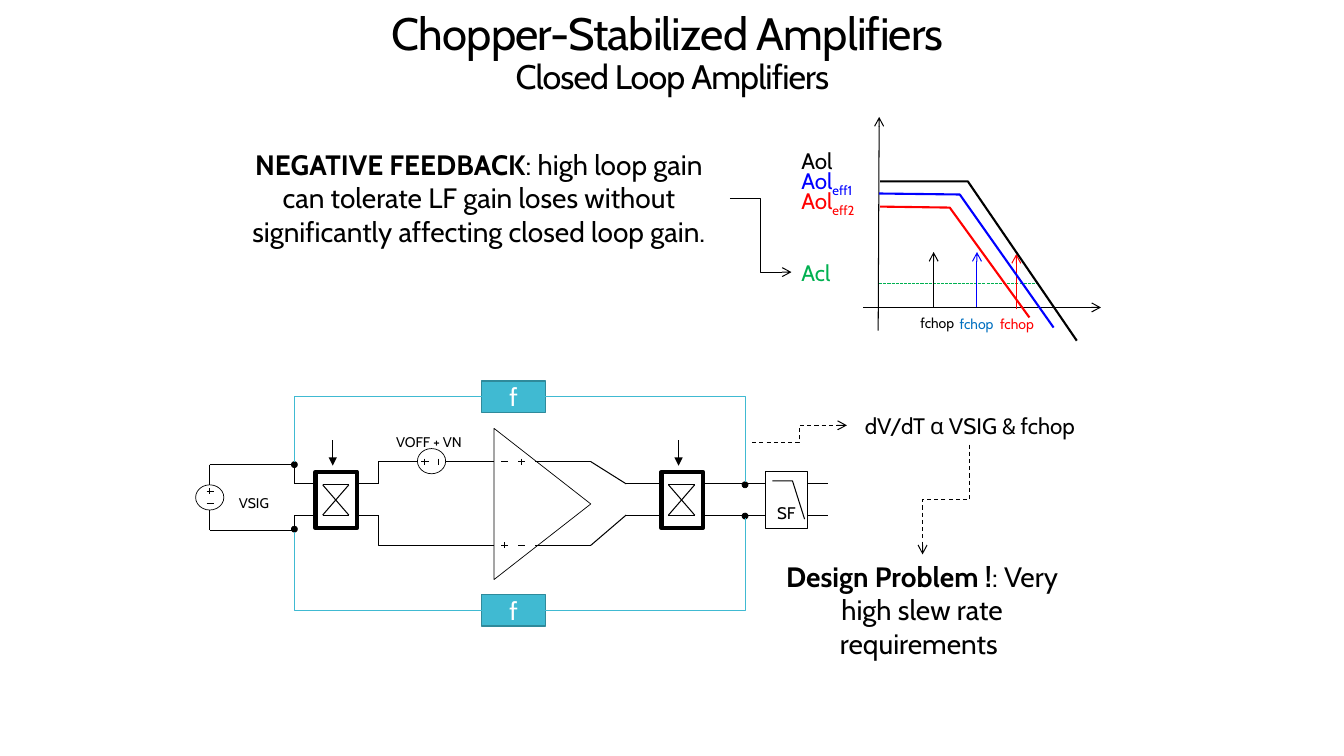
from lxml.etree import SubElement
from pptx import Presentation
from pptx.dml.color import RGBColor
from pptx.enum.dml import MSO_LINE
from pptx.enum.shapes import MSO_CONNECTOR, MSO_SHAPE
from pptx.enum.text import MSO_ANCHOR, PP_ALIGN
from pptx.oxml.ns import qn
from pptx.util import Inches, Pt

BLACK = RGBColor(0x00, 0x00, 0x00)
WHITE = RGBColor(0xFF, 0xFF, 0xFF)
RED = RGBColor(0xFF, 0x00, 0x00)
BLUE = RGBColor(0x00, 0x00, 0xFF)
LABEL_BLUE = RGBColor(0x00, 0x70, 0xC0)
GREEN = RGBColor(0x00, 0xB0, 0x50)
TEAL = RGBColor(0x40, 0xBA, 0xD2)
DARK_TEAL = RGBColor(0x2F, 0x8A, 0x9B)
FONT = "Cabin"

prs = Presentation()
prs.slide_width, prs.slide_height = Inches(13.33), Inches(7.5)
s = prs.slides.add_slide(prs.slide_layouts[6])


def add_line(x1, y1, x2, y2, color=BLACK, width=0.5, dash=None, tail=None, geom="line"):
    kind = MSO_CONNECTOR.STRAIGHT if geom == "line" else MSO_CONNECTOR.ELBOW
    c = s.shapes.add_connector(kind, Inches(x1), Inches(y1), Inches(x2), Inches(y2))
    c.line.color.rgb = color
    for name, value in {"width": Pt(width), "dash_style": dash}.items():
        setattr(c.line, name, value)
    spPr = c._element.spPr
    spPr.find(qn("a:prstGeom")).set("prst", geom)
    if tail:
        SubElement(spPr.find(qn("a:ln")), qn("a:tailEnd"), type=tail)
    SubElement(spPr, qn("a:effectLst"))
    return c


def add_text(x, y, w, h, runs, size, color=BLACK, align=PP_ALIGN.LEFT):
    tf = s.shapes.add_textbox(Inches(x), Inches(y), Inches(w), Inches(h)).text_frame
    tf.word_wrap = True
    p = tf.paragraphs[0]
    p.alignment = align
    for words, fmt in runs:
        r = p.add_run()
        r.text = words
        r.font.color.rgb = color
        for name, value in {"name": FONT, "size": Pt(size), **fmt}.items():
            setattr(r.font, name, value)
    return tf


# Title
tf = add_text(0.6, 0.12, 12.14, 0.84, [("Chopper-Stabilized Amplifiers ", {})], 32.4, align=PP_ALIGN.CENTER)
tf.vertical_anchor = MSO_ANCHOR.MIDDLE
p = tf.paragraphs[0]
p.line_spacing = 0.9
p.add_line_break()
r = p.add_run()
r.text = "Closed Loop Amplifiers"
r.font.color.rgb = BLACK
for name, value in {"name": FONT, "size": Pt(24.3)}.items():
    setattr(r.font, name, value)
for r in p.runs:
    r.font._element.set("spc", "-60")

for x, y, w, h, runs, size in [
    (2.26, 1.41, 4.98, 1.11, [
        ("NEGATIVE FEEDBACK", {"bold": True}),
        (": high loop gain can tolerate LF gain loses without significantly affecting closed loop gain.", {}),
    ], 20),
    (7.69, 5.5, 2.91, 1.11, [
        ("Design Problem !", {"bold": True}),
        (": Very high slew rate requirements ", {}),
    ], 20),
    (8.4, 4.04, 2.44, 0.37, [("dV/dT α VSIG & fchop", {})], 16),
]:
    add_text(x, y, w, h, runs, size, align=PP_ALIGN.CENTER)

add_line(7.24, 1.97, 7.85, 2.7, width=0.75, tail="arrow", geom="bentConnector3")
add_line(7.46, 4.39, 8.4, 4.22, width=0.75, dash=MSO_LINE.DASH, tail="arrow", geom="bentConnector3")
c = add_line(8.84, 4.72, 9.93, 5.19, width=0.75, dash=MSO_LINE.DASH, tail="arrow", geom="bentConnector3")
c._element.spPr.find(qn("a:xfrm")).set("rot", str(90 * 60000))

# Gain plot
add_line(8.71, 3.28, 8.72, 1.16, width=0.75, tail="arrow")
add_line(8.56, 3.05, 10.92, 3.05, width=0.75, tail="arrow")
add_line(8.72, 2.81, 10.29, 2.81, GREEN, 0.75, MSO_LINE.SQUARE_DOT)
for y, name, sub, color in [
    (1.41, "Aol", "", BLACK), (1.61, "Aol", "eff1", BLUE),
    (1.81, "Aol", "eff2", RED), (2.52, "Acl", "", GREEN),
]:
    runs = [(name, {})] + ([(sub, {})] if sub else [])
    p = add_text(7.85, y, 0.79, 0.37, runs, 16, color).paragraphs[0]
    for r in p.runs[1:]:
        r.font._element.set("baseline", "-25000")
for x, top, label_x, label_y, color, label_color in [
    (9.26, 2.5, 9.03, 3.07, BLACK, BLACK),
    (9.69, 2.5, 9.42, 3.08, BLUE, LABEL_BLUE),
    (10.08, 2.52, 9.82, 3.08, RED, RED),
]:
    add_line(x, top + 0.55, x, top, color, 0.75, tail="arrow")
    add_text(label_x, label_y, 0.63, 0.27, [("fchop", {})], 10, label_color)

# Outlines: gain curves, amplifier and filter response
outlined = []
for points, closed, color, width in [
    ([(8.73, 1.8), (9.6, 1.8), (10.68, 3.38)], False, BLACK, 1.5),
    ([(8.73, 2.05), (9.42, 2.06), (10.21, 3.15)], False, RED, 1.5),
    ([(8.72, 1.92), (9.52, 1.93), (10.45, 3.25)], False, BLUE, 1.5),
    ([(5.86, 5), (4.9, 5.75), (4.9, 4.25)], True, BLACK, 0.5),
    ([(7.66, 4.77), (7.86, 4.77), (7.98, 5.15)], False, BLACK, 0.75),
]:
    points = [(Inches(x), Inches(y)) for x, y in points]
    fb = s.shapes.build_freeform(*points[0])
    fb.add_line_segments(points[1:], close=closed)
    outlined.append((fb.convert_to_shape(), None, color, width))

# Circuit blocks
blocks = []
for kind, x, y, w, h, fill, color, width in [
    (MSO_SHAPE.RECTANGLE, 4.78, 3.78, 0.63, 0.31, TEAL, DARK_TEAL, 0.85),
    (MSO_SHAPE.RECTANGLE, 4.78, 5.9, 0.63, 0.31, TEAL, DARK_TEAL, 0.85),
    (MSO_SHAPE.RECTANGLE, 7.59, 4.68, 0.42, 0.56, None, BLACK, 0.5),
    (MSO_SHAPE.RECTANGLE, 3.13, 4.68, 0.41, 0.56, None, BLACK, 3),
    (MSO_SHAPE.RECTANGLE, 6.56, 4.68, 0.41, 0.56, None, BLACK, 3),
    (MSO_SHAPE.OVAL, 4.14, 4.45, 0.28, 0.25, None, BLACK, 0.5),
    (MSO_SHAPE.OVAL, 1.94, 4.81, 0.28, 0.25, None, BLACK, 0.5),
    (MSO_SHAPE.OVAL, 2.89, 4.58, 0.06, 0.06, BLACK, BLACK, 0.5),
    (MSO_SHAPE.OVAL, 2.89, 5.22, 0.06, 0.06, BLACK, BLACK, 0.5),
    (MSO_SHAPE.OVAL, 7.36, 4.78, 0.06, 0.06, BLACK, BLACK, 0.5),
    (MSO_SHAPE.OVAL, 7.36, 5.09, 0.06, 0.06, BLACK, BLACK, 0.5),
]:
    sp = s.shapes.add_shape(kind, Inches(x), Inches(y), Inches(w), Inches(h))
    blocks.append(sp)
    outlined.append((sp, fill, color, width))

for sp, fill, color, width in outlined:
    sp.shadow.inherit = False
    sp.line.color.rgb = color
    sp.line.width = Pt(width)
    if fill is None:
        sp.fill.background()
    else:
        sp.fill.solid()
        sp.fill.fore_color.rgb = fill

top_f, bottom_f, sf = blocks[:3]
for sp, words, size, color, anchor in [
    (top_f, "f", 18, WHITE, MSO_ANCHOR.MIDDLE),
    (bottom_f, "f", 18, WHITE, MSO_ANCHOR.MIDDLE),
    (sf, "SF", 12, BLACK, MSO_ANCHOR.BOTTOM),
]:
    tf = sp.text_frame
    for name, value in {"word_wrap": False, "vertical_anchor": anchor}.items():
        setattr(tf, name, value)
    p = tf.paragraphs[0]
    p.alignment = PP_ALIGN.CENTER
    r = p.add_run()
    r.text = words
    r.font.color.rgb = color
    for name, value in {"name": FONT, "size": Pt(size)}.items():
        setattr(r.font, name, value)

# Feedback loops
for sp, y, x_end, y_end, site in [
    (top_f, 3.93, 2.92, 4.58, 1), (top_f, 3.93, 7.39, 4.78, 3),
    (bottom_f, 6.06, 2.92, 5.28, 1), (bottom_f, 6.06, 7.39, 5.14, 3),
]:
    c = add_line(5.1, y, x_end, y_end, TEAL, 0.75, geom="bentConnector2")
    c.begin_connect(sp, site)

# Wiring
for x1, y1, x2, y2, width in [
    (2.08, 4.61, 2.92, 4.8, 0.75), (2.08, 5.26, 2.92, 5.11, 0.75),
    (4.14, 4.58, 3.75, 4.8, 0.5), (4.9, 5.41, 3.75, 5.11, 0.5),
]:
    add_line(x1, y1, x2, y2, width=width, geom="bentConnector2")
for x1, y1, x2, y2 in [
    (2.08, 4.61, 2.08, 4.81), (2.08, 5.06, 2.08, 5.26), (4.42, 4.58, 4.9, 4.58),
    (5.31, 4.58, 5.86, 4.58), (5.31, 5.41, 5.86, 5.41),
]:
    add_line(x1, y1, x2, y2)
for y_amp, y in [(4.58, 4.8), (5.41, 5.11)]:
    add_line(5.86, y_amp, 6.21, y, width=0.75)
    for x1, x2 in [(2.92, 3.13), (3.54, 3.75), (6.21, 6.56), (6.97, 7.59), (8.01, 8.21)]:
        add_line(x1, y, x2, y)

# Chopper symbols
for x in (3.2, 6.63):
    add_line(x + 0.1, 4.37, x + 0.1, 4.62, width=0.75, tail="triangle")
    for y1, y2 in [(4.81, 5.11), (5.11, 4.81), (4.81, 4.81), (5.11, 5.11)]:
        add_line(x, y1, x + 0.26, y2, width=0.75)

# Polarity signs
plus_signs = [(5.17, 4.58), (5, 5.41), (2.08, 4.87), (4.21, 4.58)]
minus_signs = [(5, 4.58), (5.17, 5.41), (2.08, 4.99)]
for x, y in plus_signs + minus_signs:
    add_line(x - 0.03, y, x + 0.04, y)
for x, y in plus_signs + [(4.35, 4.58)]:
    add_line(x, y - 0.03, x, y + 0.03)

add_text(3.83, 4.25, 1.06, 0.27, [("VOFF + VN", {})], 10)
add_text(2.27, 4.86, 0.62, 0.27, [("VSIG", {})], 10)

prs.save("out.pptx")
